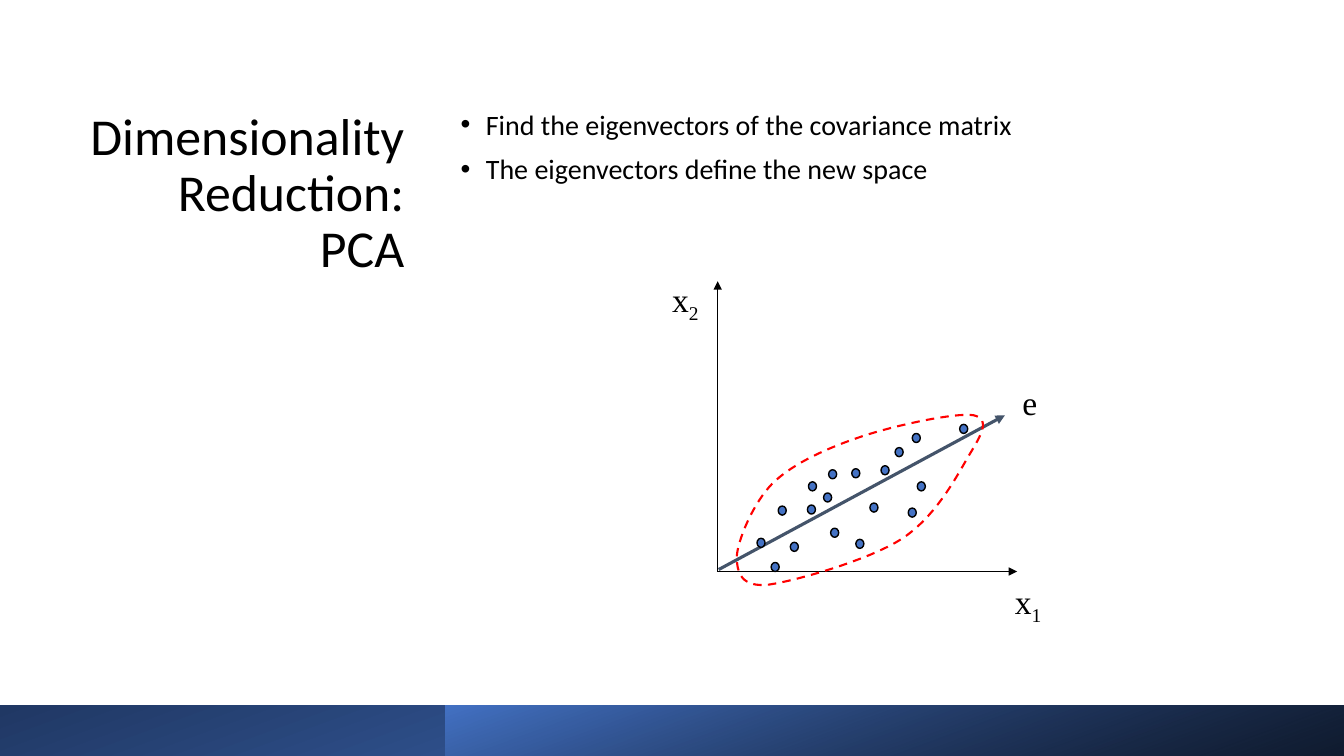
from pptx import Presentation
from pptx.dml.color import RGBColor
from pptx.enum.dml import MSO_LINE
from pptx.enum.shapes import MSO_CONNECTOR, MSO_SHAPE
from pptx.enum.text import MSO_ANCHOR, MSO_AUTO_SIZE, PP_ALIGN
from pptx.oxml.ns import qn
from pptx.util import Inches, Pt
from lxml.etree import SubElement

BLACK = RGBColor(0x00, 0x00, 0x00)
BLUE = RGBColor(0x44, 0x72, 0xC4)
NAVY = RGBColor(0x20, 0x38, 0x64)
SLATE = RGBColor(0x44, 0x54, 0x6A)
RED = RGBColor(0xFF, 0x00, 0x00)

# Grid of square cells, ten to the inch
CELL = Inches(0.1)
COLS, ROWS = 133.33, 75


def grid(*cells):
    return [int(n * CELL) for n in cells]


def add_run(p, text, size, font):
    r = p.add_run()
    r.text = text
    r.font.size = Pt(size)
    r.font.name = font
    r.font.color.rgb = BLACK
    return r


prs = Presentation()
prs.slide_width, prs.slide_height = grid(COLS, ROWS)
s = prs.slides.add_slide(prs.slide_layouts[1])

# Title
title = s.shapes.title
title.left, title.top, title.width, title.height = grid(7.2, 10.5, 33.9, 48.4)
tf = title.text_frame
tf.auto_size = MSO_AUTO_SIZE.NONE
tf.vertical_anchor = MSO_ANCHOR.TOP
p = tf.paragraphs[0]
p.alignment = PP_ALIGN.RIGHT
p.line_spacing = 0.9
add_run(p, "Dimensionality Reduction: PCA", 37, "Calibri")

# Bullets
body = s.placeholders[1]
body.left, body.top, body.width, body.height = grid(44.7, 10.5, 75, 51.9)
tf = body.text_frame
tf.auto_size = MSO_AUTO_SIZE.NONE
bullets = ["Find the eigenvectors of the covariance matrix",
           "The eigenvectors define the new space"]
for i, text in enumerate(bullets):
    p = tf.add_paragraph() if i else tf.paragraphs[0]
    pPr = p._p.get_or_add_pPr()
    pPr.set("marL", str(Inches(0.25)))
    pPr.set("indent", str(-Inches(0.25)))
    SubElement(pPr, qn("a:buFont")).set("typeface", "Arial")
    SubElement(pPr, qn("a:buChar")).set("char", "•")
    p.line_spacing = 0.9
    p.space_before = Pt(10 if i else 0)
    add_run(p, text, 20, "Calibri")

# Gradient footer: full-width bar, then a bar over its right two thirds
for left, start, end, alpha in [(0, BLUE, NAVY, 100), (44.2, BLACK, BLUE, 76)]:
    bar = s.shapes.add_shape(MSO_SHAPE.RECTANGLE,
                             *grid(left, 70, COLS - left, 5))
    bar.shadow.inherit = False
    bar.line.fill.background()
    bar.fill.gradient()
    bar.fill.gradient_angle = 110
    stops = bar.fill.gradient_stops
    for stop, position, color in zip(stops, (0, 1), (start, end)):
        stop.position = position
        stop.color.rgb = color
    if alpha < 100:
        rgb = bar._element.spPr.find(".//" + qn("a:srgbClr"))
        SubElement(rgb, qn("a:alpha")).set("val", str(alpha * 1000))

chart = s.shapes.add_group_shape().shapes

# Axes and eigenvector
arrows = [((71.2, 56.7, 71.2, 27.9), BLACK, 1),
          ((71.2, 56.7, 100.9, 56.7), BLACK, 1),
          ((71.3, 56.5, 99.7, 41.2), SLATE, 2.25)]
for ends, color, width in arrows:
    arrow = chart.add_connector(MSO_CONNECTOR.STRAIGHT, *grid(*ends))
    arrow.line.color.rgb = color
    arrow.line.width = Pt(width)
    SubElement(arrow.line._get_or_add_ln(), qn("a:tailEnd")).set("type", "triangle")
    SubElement(arrow._element.spPr, qn("a:effectLst"))

# Data points
points = [(77.2, 50.2), (80.2, 47.8), (75.1, 53.4), (81.7, 48.9), (80.1, 50.1),
          (86.3, 49.9), (84.9, 53.5), (82.4, 52.4), (84.5, 46.5), (91, 47.8),
          (95.2, 42.1), (78.4, 53.8), (87.4, 46.2), (90.5, 43), (82.2, 46.6),
          (88.8, 44.4), (90.1, 50.4), (76.5, 55.8)]
for x, y in points:
    dot = chart.add_shape(MSO_SHAPE.OVAL, *grid(x, y, 0.8, 0.9))
    dot.shadow.inherit = False
    dot.fill.solid()
    dot.fill.fore_color.rgb = BLUE
    dot.line.color.rgb = BLACK
    dot.line.width = Pt(1)

# Dashed outline around the points: cubic curves drawn in short steps
STEPS = 16
start = (73.1, 55.2)
curves = [((73.2, 53.6), (74.7, 49.9), (76.7, 47.9)),
          ((78.8, 45.9), (82.2, 44.4), (85.5, 43.3)),
          ((88.8, 42.2), (94.8, 40.9), (96.6, 41.2)),
          ((98.4, 41.6), (97.2, 43.4), (96, 45.4)),
          ((94.8, 47.5), (92.7, 51.4), (89.4, 53.5)),
          ((86.1, 55.6), (79, 57.6), (76.3, 58)),
          ((73.6, 58.3), (73.1, 56.9), (73.1, 55.2))]
outline = []
a = start
for b, c, d in curves:
    for k in range(1, STEPS + 1):
        t = k / STEPS
        u = 1 - t
        outline.append(grid(*[
            u**3 * a[i] + 3 * u * u * t * b[i] + 3 * u * t * t * c[i] + t**3 * d[i]
            for i in (0, 1)]))
    a = d
builder = chart.build_freeform(*grid(*start))
builder.add_line_segments(outline, close=True)
cloud = builder.convert_to_shape()
cloud.shadow.inherit = False
cloud.fill.background()
cloud.line.color.rgb = RED
cloud.line.width = Pt(1.5)
cloud.line.dash_style = MSO_LINE.DASH

# Axis and vector labels
labels = [("x", "2", 65.6, 27.4, 4.8), ("x", "1", 99.6, 57.4, 4.8),
          ("e", "", 100.4, 37.4, 3.5)]
for text, index, x, y, width in labels:
    tf = chart.add_textbox(*grid(x, y, width, 5)).text_frame
    tf.word_wrap = False
    tf.auto_size = MSO_AUTO_SIZE.SHAPE_TO_FIT_TEXT
    tf.vertical_anchor = MSO_ANCHOR.MIDDLE
    p = tf.paragraphs[0]
    p.alignment = PP_ALIGN.CENTER
    add_run(p, text, 24, "Times New Roman")
    if index:
        r = add_run(p, index, 24, "Times New Roman")
        r.font._element.set("baseline", "-25000")

prs.save("out.pptx")
